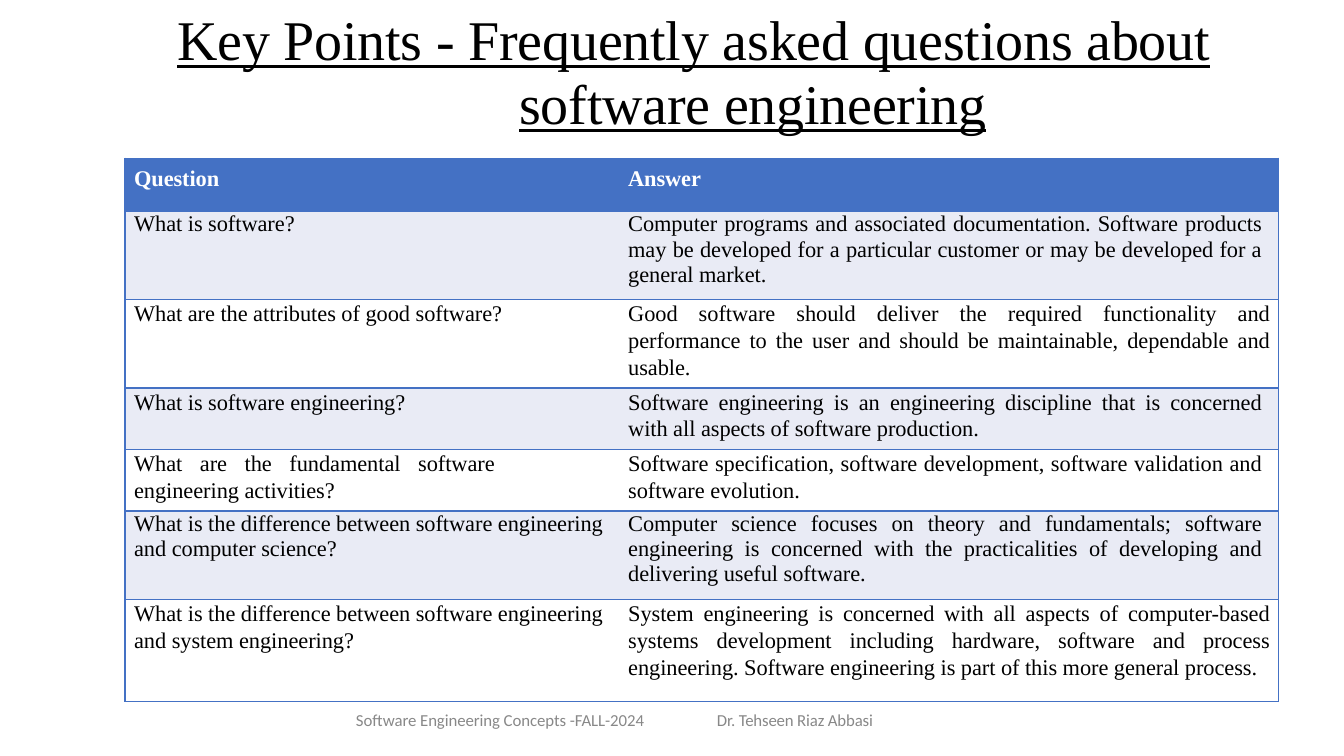
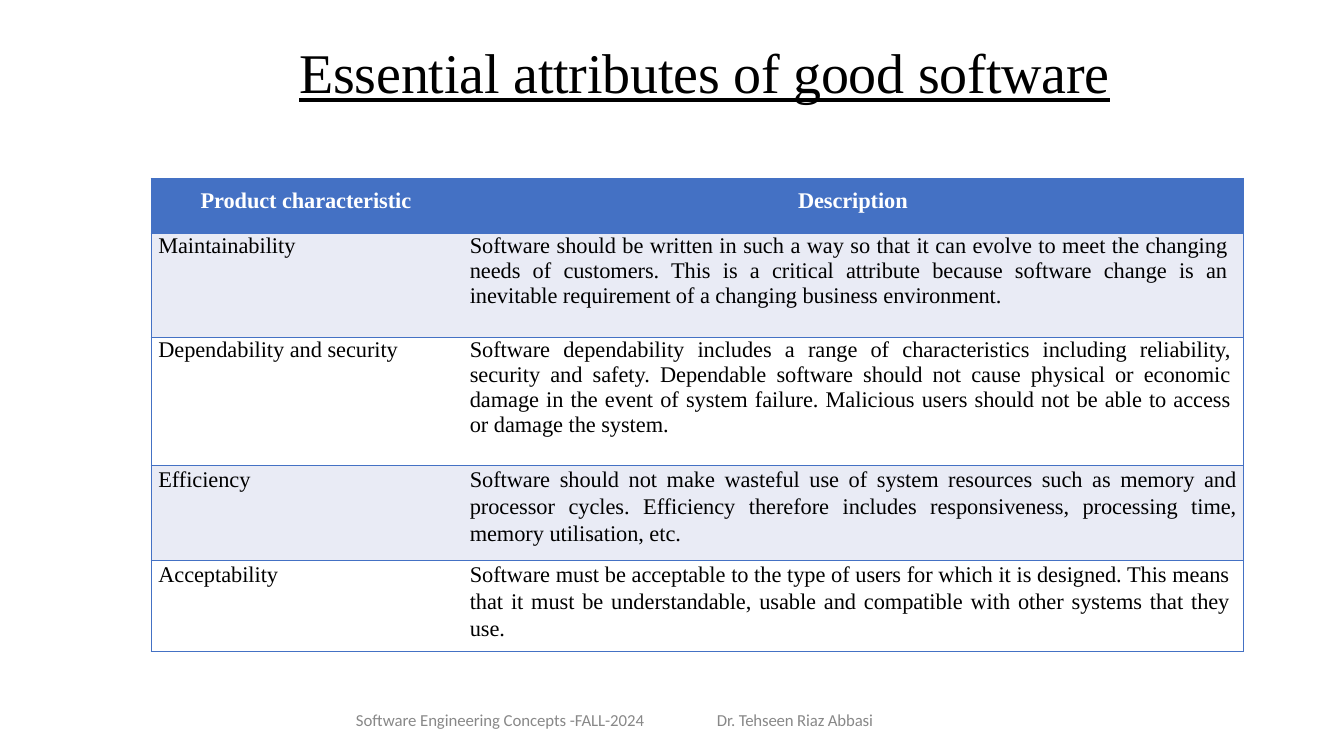
import pptx
import pptx.util
import pptx.dml.color
import pptx.enum.text
import pptx.oxml.ns
import lxml.etree

Inches = pptx.util.Inches
Pt = pptx.util.Pt
ALIGN = pptx.enum.text.PP_ALIGN
qn = pptx.oxml.ns.qn

BLUE, BAND, BLACK, WHITE, GREY = "4471C4", "E9EBF5", "000000", "FFFFFF", "888888"
NO_STYLE = "{2D5ABB26-0587-4C30-8999-92F81FD0307C}"


def color(hex_value):
    return pptx.dml.color.RGBColor.from_string(hex_value)


def write(frame, paragraphs, style):
    """Fill a text frame; each paragraph is (text, format values)."""
    for number, (text, extra) in enumerate(paragraphs):
        look = {**style, **extra}
        paragraph = frame.paragraphs[0] if number == 0 else frame.add_paragraph()
        properties = paragraph._p.get_or_add_pPr()
        properties.set("marL", str(Inches(look["indent"])))
        properties.set("indent", "0")
        paragraph.alignment = look.get("align", ALIGN.LEFT)
        if "spacing" in look:
            paragraph.line_spacing = Pt(look["spacing"])
        run = paragraph.add_run()
        run.text = text
        for name, value in look["font"].items():
            setattr(run.font, name, value)
        run.font.color.rgb = color(look["color"])
        run._r.get_or_add_rPr().set("spc", str(look["tracking"]))


# Shared styles
TITLE = {"font": {"name": "Times New Roman", "size": Pt(40), "underline": True},
         "color": BLACK, "indent": 0.01, "spacing": 45.6, "tracking": -14}
FOOTER = {"font": {"name": "Calibri", "size": Pt(12)},
          "color": GREY, "indent": 0.01, "spacing": 12.4, "tracking": -5}
HEADER = {"font": {"name": "Times New Roman", "size": Pt(16), "bold": True},
          "color": WHITE, "tracking": -5}
BODY = {"font": {"name": "Times New Roman", "size": Pt(16), "bold": False},
        "color": BLACK, "tracking": -2}

FOOTERS = [
    ([3.52, 7.07, 2.92, 0.2], 0, [("Software Engineering Concepts -FALL-2024", {})]),
    ([7.1, 7.07, 1.61, 0.2], 0, [("Dr. Tehseen Riaz Abbasi", {"tracking": -10})]),
]

# Slide content; body rows hold: height, line spacing, right margin of the answer, term, answer
faq = {
    "title_at": [1.75, 0.06, 10.92, 1.3],
    "title_top": 0.02,
    "title": [("Key Points - Frequently asked questions about", {}),
              ("software engineering", {"indent": 3.4})],
    "table_at": [1.24, 1.57],
    "columns": [4.9, 6.54],
    "indents": [0.09, 0.09],
    "header": [0.53, 0.08, ("Question", {}), ("Answer", {})],
    "rows": [
        (0.87, 18, 0.16, "What is software?",
         "Computer programs and associated documentation. Software products may be developed "
         "for a particular customer or may be developed for a general market."),
        (0.88, 19.2, 0.08, "What are the attributes of good software?",
         "Good software should deliver the required functionality and performance to the user "
         "and should be maintainable, dependable and usable."),
        (0.61, 19.2, 0.16, "What is software engineering?",
         "Software engineering is an engineering discipline that is concerned with all aspects "
         "of software production."),
        (0.61, 19.2, 0.16, "What are the fundamental software engineering activities?",
         "Software specification, software development, software validation and software "
         "evolution."),
        (0.88, 18, 0.16,
         "What is the difference between software engineering and computer science?",
         "Computer science focuses on theory and fundamentals; software engineering is concerned "
         "with the practicalities of developing and delivering useful software."),
        (1.01, 19.2, 0.08,
         "What is the difference between software engineering and system engineering?",
         "System engineering is concerned with all aspects of computer-based systems development "
         "including hardware, software and process engineering. Software engineering is part of "
         "this more general process."),
    ],
    # Terms set justified in a narrower measure: row number and right margin
    "narrow_terms": {4: 1.23},
}
attributes = {
    "title_at": [2.96, 0.36, 8.69, 0.69],
    "title_top": 0.05,
    "title": [("Essential attributes of good software", {})],
    "table_at": [1.5, 1.77],
    "columns": [2.88, 7.95],
    "indents": [0.07, 0.28],
    "header": [0.55, 0.1, ("Product characteristic", {"indent": 0.49}),
               ("Description", {"indent": 0.21, "align": ALIGN.CENTER})],
    "rows": [
        (1.03, 17.8, 0.15, "Maintainability",
         "Software should be written in such a way so that it can evolve to meet the changing "
         "needs of customers. This is a critical attribute because software change is an "
         "inevitable requirement of a changing business environment."),
        (1.27, 17.8, 0.12, "Dependability and security",
         "Software dependability includes a range of characteristics including reliability, "
         "security and safety. Dependable software should not cause physical or economic damage "
         "in the event of system failure. Malicious users should not be able to access or damage "
         "the system."),
        (0.94, 19.2, 0.06, "Efficiency",
         "Software should not make wasteful use of system resources such as memory and processor "
         "cycles. Efficiency therefore includes responsiveness, processing time, memory "
         "utilisation, etc."),
        (0.9, 19.2, 0.13, "Acceptability",
         "Software must be acceptable to the type of users for which it is designed. This means "
         "that it must be understandable, usable and compatible with other systems that they "
         "use."),
    ],
    "narrow_terms": {},
}

deck = pptx.Presentation()
deck.slide_width, deck.slide_height = Inches(13.33), Inches(7.5)

for content in (faq, attributes):
    slide = deck.slides.add_slide(deck.slide_layouts[6])

    # Title and footers
    labels = [(content["title_at"], content["title_top"], content["title"], TITLE)]
    labels += [(*footer, FOOTER) for footer in FOOTERS]
    for place, top, text, style in labels:
        frame = slide.shapes.add_textbox(*map(Inches, place)).text_frame
        frame.word_wrap = True
        margins = {"margin_left": 0, "margin_top": top, "margin_right": 0, "margin_bottom": 0}
        for name, value in margins.items():
            setattr(frame, name, Inches(value))
        write(frame, text, style)

    # Cell texts: header first, then term and justified answer
    header_height, header_top, *headings = content["header"]
    heights = [header_height]
    cells = [[(heading, HEADER, header_top, 0) for heading in headings]]
    for number, (height, spacing, answer_right, term, answer) in enumerate(content["rows"], 1):
        heights.append(height)
        term_right = content["narrow_terms"].get(number, 0)
        term_align = ALIGN.JUSTIFY if term_right else ALIGN.LEFT
        cells.append([
            ((term, {"spacing": spacing, "align": term_align}), BODY, 0, term_right),
            ((answer, {"spacing": spacing, "align": ALIGN.JUSTIFY}), BODY, 0, answer_right)])

    # Table
    columns = content["columns"]
    table = slide.shapes.add_table(
        len(heights), len(columns), *map(Inches, content["table_at"]),
        Inches(sum(columns)), Inches(sum(heights))).table
    table._tbl.tblPr.find(qn("a:tableStyleId")).text = NO_STYLE
    table.horz_banding = False
    for column, width in zip(table.columns, columns):
        column.width = Inches(width)
    for row, height in zip(table.rows, heights):
        row.height = Inches(height)

    for row_number, row_cells in enumerate(cells):
        for column_number, (text, style, top, right) in enumerate(row_cells):
            cell = table.cell(row_number, column_number)
            margins = {"margin_left": 0, "margin_top": top,
                       "margin_right": right, "margin_bottom": 0}
            for name, value in margins.items():
                setattr(cell, name, Inches(value))
            write(cell.text_frame, [text],
                  {"indent": content["indents"][column_number], **style})

            # Rules between rows and around the table, none between columns
            outer_side = "a:lnL" if column_number == 0 else "a:lnR"
            for edge in (outer_side, "a:lnT", "a:lnB"):
                rule = lxml.etree.SubElement(cell._tc.get_or_add_tcPr(), qn(edge), w=str(Pt(1)))
                paint = lxml.etree.SubElement(rule, qn("a:solidFill"))
                lxml.etree.SubElement(paint, qn("a:srgbClr"), val=BLUE)

            if row_number % 2 or row_number == 0:
                cell.fill.solid()
                cell.fill.fore_color.rgb = color(BAND if row_number else BLUE)
            else:
                cell.fill.background()

deck.save("out.pptx")
